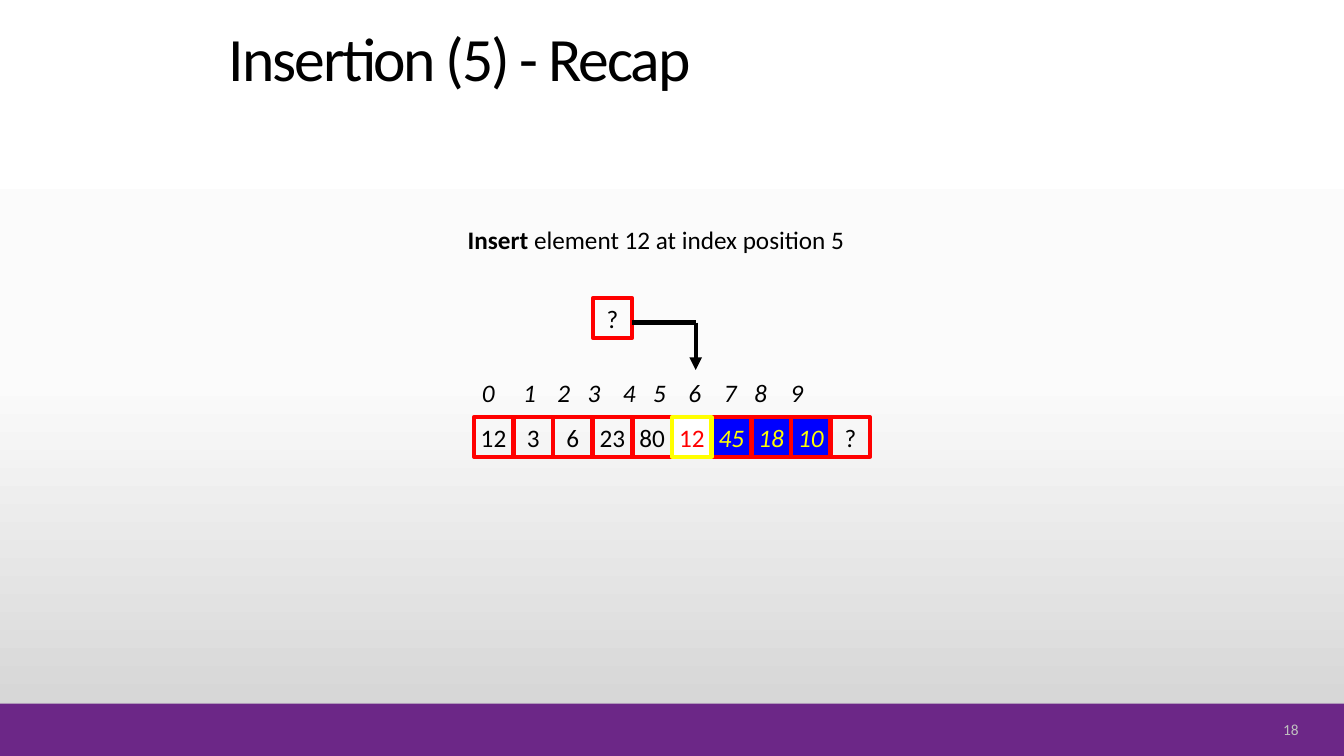
from copy import deepcopy
from dataclasses import dataclass
from typing import Optional

from pptx import Presentation
from pptx import util as u
from pptx.dml.color import RGBColor
from pptx.enum import shapes, text
from pptx.oxml.ns import qn
from pptx.oxml.xmlchemy import OxmlElement


@dataclass(frozen=True)
class Theme:
    font: str = "Calibri"
    title_size: int = 44
    body_size: int = 18
    number_size: int = 11
    line_width: int = 3
    black: str = "000000"
    white: str = "FFFFFF"
    red: str = "FF0000"
    yellow: str = "FFFF00"
    blue: str = "0000FF"
    purple: str = "6C2787"
    grey: str = "BFBFBF"
    background: tuple = ((0, "FFFFFF"), (0.5, "FBFBFB"), (1, "D1D1D1"))


THEME = Theme()


@dataclass(frozen=True)
class CellStyle:
    fill: Optional[str] = None
    line: str = THEME.red
    color: str = THEME.black
    italic: bool = False


PLAIN = CellStyle()
SHIFTED = CellStyle(fill=THEME.blue, color=THEME.yellow, italic=True)
INSERTED = CellStyle(fill=THEME.white, line=THEME.yellow, color=THEME.red)


@dataclass(frozen=True)
class Cell:
    value: str
    style: CellStyle = PLAIN


ARRAY = [
    Cell("12"), Cell("3"), Cell("6"), Cell("23"), Cell("80"), Cell("12", INSERTED),
    Cell("45", SHIFTED), Cell("18", SHIFTED), Cell("10", SHIFTED), Cell("?"),
]
ARRAY_LEFT, ARRAY_TOP = 4.70, 4.14
CELL_PITCH = 3.54 / 9
CELL_SIZE = 0.39
INDEX_TABS = [0.41, 0.75, 1.05, 1.40, 1.70, 2.05, 2.40, 2.70, 3.06]


def color(value: str) -> RGBColor:
    return RGBColor.from_string(value)


def format_runs(paragraph, size: int, font_color: str = THEME.black, italic: bool = False) -> None:
    for run in paragraph.runs:
        run.font.name = THEME.font
        run.font.size = u.Pt(size)
        run.font.color.rgb = color(font_color)
        run.font.italic = italic


def paint_background(slide) -> None:
    fill = slide.background.fill
    fill.gradient()
    fill.gradient_angle = 270
    stop_list = slide.element.find(".//" + qn("a:gsLst"))
    stop_list.append(deepcopy(stop_list[0]))
    for stop, (position, value) in zip(fill.gradient_stops, THEME.background):
        stop.position = position
        stop.color.rgb = color(value)


def add_rectangle(slide, left: float, top: float, width: float, height: float, fill: Optional[str]):
    shape = slide.shapes.add_shape(
        shapes.MSO_SHAPE.RECTANGLE, u.Inches(left), u.Inches(top), u.Inches(width), u.Inches(height))
    shape.shadow.inherit = False
    if fill:
        shape.fill.solid()
        shape.fill.fore_color.rgb = color(fill)
    else:
        shape.fill.background()
    shape.line.fill.background()
    return shape


def add_cell(slide, cell: Cell, left: float, top: float) -> None:
    style = cell.style
    shape = add_rectangle(slide, left, top, CELL_SIZE, CELL_SIZE, style.fill)
    shape.line.color.rgb = color(style.line)
    shape.line.width = u.Pt(THEME.line_width)
    frame = shape.text_frame
    frame.text = cell.value
    frame.word_wrap = False
    frame.vertical_anchor = text.MSO_ANCHOR.MIDDLE
    frame.paragraphs[0].alignment = text.PP_ALIGN.CENTER
    format_runs(frame.paragraphs[0], THEME.body_size, style.color, style.italic)


def add_label(slide, left: float, top: float, width: float, height: float, content: str):
    """Add a one-paragraph text box and return that paragraph."""
    box = slide.shapes.add_textbox(u.Inches(left), u.Inches(top), u.Inches(width), u.Inches(height))
    frame = box.text_frame
    frame.word_wrap = True
    frame.vertical_anchor = text.MSO_ANCHOR.MIDDLE
    frame.text = content
    return frame.paragraphs[0]


def set_tab_stops(paragraph, positions: list) -> None:
    tab_list = OxmlElement("a:tabLst")
    for position in positions:
        tab = OxmlElement("a:tab")
        tab.set("pos", str(u.Inches(position)))
        tab.set("algn", "l")
        tab_list.append(tab)
    paragraph._p.get_or_add_pPr().append(tab_list)


def add_line(slide, start: tuple, end: tuple, arrow: bool = False) -> None:
    points = [u.Inches(value) for value in (*start, *end)]
    connector = slide.shapes.add_connector(shapes.MSO_CONNECTOR.STRAIGHT, *points)
    connector.line.color.rgb = color(THEME.black)
    connector.line.width = u.Pt(THEME.line_width)
    if arrow:
        head = OxmlElement("a:tailEnd")
        head.set("type", "triangle")
        connector.line._get_or_add_ln().append(head)
    connector._element.spPr.append(OxmlElement("a:effectLst"))


def add_title(slide, content: str) -> None:
    title = slide.shapes.title
    title.left, title.top = u.Inches(2.17), u.Inches(0.13)
    title.width, title.height = u.Inches(8.25), u.Inches(0.86)
    frame = title.text_frame
    frame.text = content
    frame.auto_size = text.MSO_AUTO_SIZE.NONE
    frame.vertical_anchor = text.MSO_ANCHOR.BOTTOM
    paragraph = frame.paragraphs[0]
    paragraph.alignment = text.PP_ALIGN.LEFT
    paragraph.line_spacing = 0.9
    format_runs(paragraph, THEME.title_size)
    paragraph.runs[0].font._element.set("spc", "-150")


def add_array(slide) -> None:
    """Draw the array with the inserted cell in front of its neighbours."""
    ordered = sorted(enumerate(ARRAY), key=lambda item: item[1].style is INSERTED)
    for index, cell in ordered:
        add_cell(slide, cell, ARRAY_LEFT + index * CELL_PITCH, ARRAY_TOP)


def main() -> None:
    presentation = Presentation()
    presentation.slide_width = u.Inches(13.33)
    presentation.slide_height = u.Inches(7.5)
    slide = presentation.slides.add_slide(presentation.slide_layouts[5])
    paint_background(slide)
    add_rectangle(slide, 0, 6.98, 13.33, 0.52, THEME.purple)
    add_title(slide, "Insertion (5) - Recap")

    task = add_label(slide, 4.54, 2.18, 3.98, 0.4, "Insert")
    task.add_run().text = " element 12 at index position 5"
    format_runs(task, THEME.body_size)
    task.runs[0].font.bold = True

    indices = add_label(slide, 4.68, 3.69, 3.45, 0.4, "\t".join(str(i) for i in range(len(ARRAY))))
    set_tab_stops(indices, INDEX_TABS)
    format_runs(indices, THEME.body_size, italic=True)

    add_array(slide)
    add_cell(slide, Cell("?"), ARRAY_LEFT + 3 * CELL_PITCH, 2.96)
    corner = (6.9, 3.2)
    add_line(slide, (6.27, 3.2), corner)
    add_line(slide, corner, (6.9, 3.67), arrow=True)

    number = add_label(slide, 12.23, 7.12, 0.75, 0.23, "18")
    number.alignment = text.PP_ALIGN.RIGHT
    format_runs(number, THEME.number_size, THEME.grey)
    presentation.save("out.pptx")


if __name__ == "__main__":
    main()
